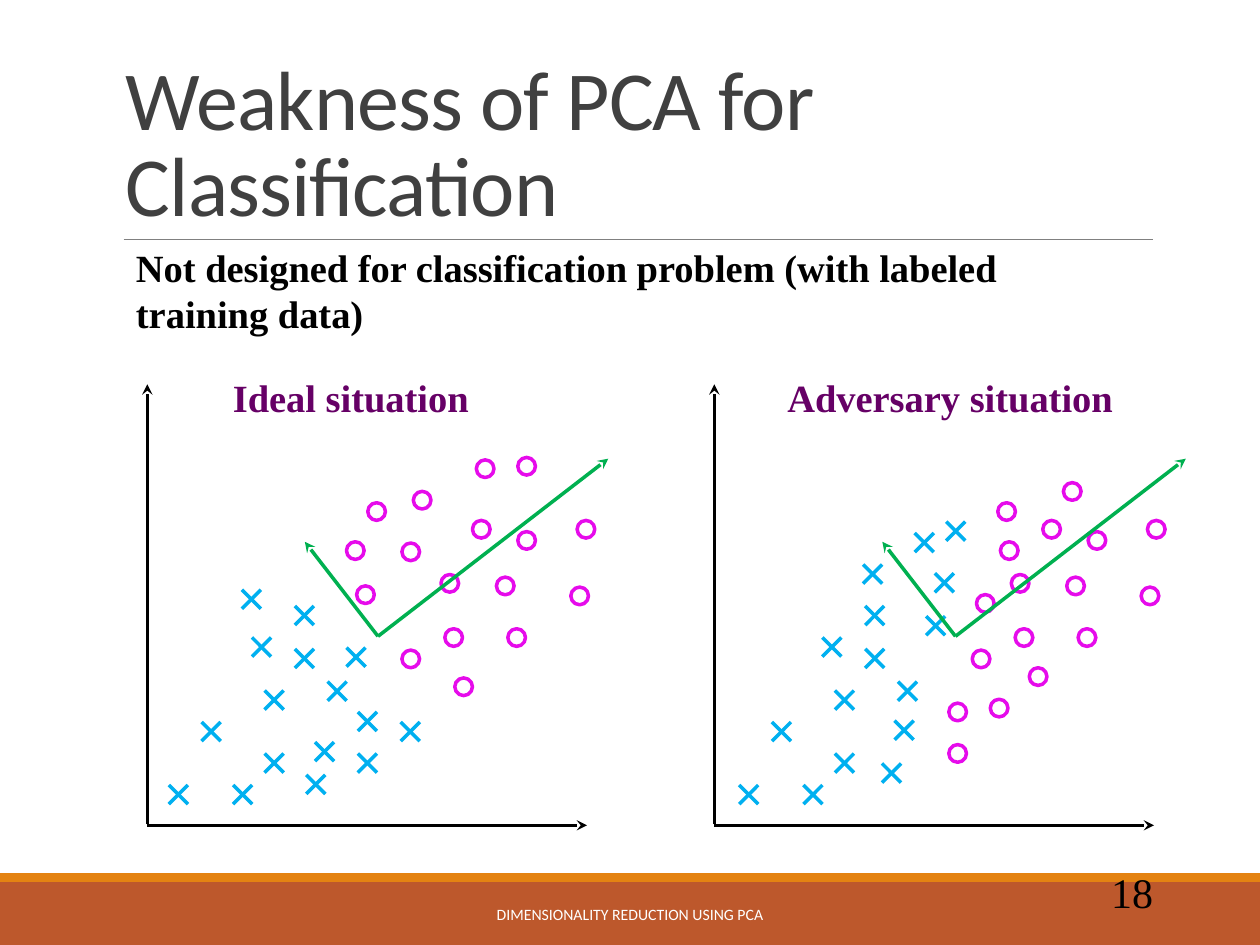
from dataclasses import dataclass

from lxml import etree
from pptx import Presentation
from pptx.dml.color import RGBColor
from pptx.enum.shapes import MSO_CONNECTOR, MSO_SHAPE
from pptx.enum.text import MSO_ANCHOR, PP_ALIGN
from pptx.oxml.ns import qn
from pptx.util import Pt

STRAIGHT = MSO_CONNECTOR.STRAIGHT
RECT, OVAL = MSO_SHAPE.RECTANGLE, MSO_SHAPE.OVAL
TOP, MIDDLE, BOTTOM = MSO_ANCHOR.TOP, MSO_ANCHOR.MIDDLE, MSO_ANCHOR.BOTTOM
LEFT, CENTER, RIGHT = PP_ALIGN.LEFT, PP_ALIGN.CENTER, PP_ALIGN.RIGHT


@dataclass(frozen=True)
class Theme:
    sans: str = "Calibri"
    serif: str = "Times New Roman"
    title: float = 48
    body: float = 22
    number: float = 24
    footer: float = 9
    stroke: float = 2
    hair: float = 0.5
    ink: str = "000000"
    gray: str = "404040"
    rule: str = "808080"
    white: str = "FFFFFF"
    purple: str = "660066"
    blue: str = "00B0F0"
    pink: str = "E60BEB"
    green: str = "00B050"
    rust: str = "BD582C"
    orange: str = "E48312"


class Deck:
    def __init__(self, theme, slide):
        self.theme = theme
        self.slide = slide

    def bar(self, x, y, w, h, color):
        shape = self.slide.shapes.add_shape(RECT, Pt(x), Pt(y), Pt(w), Pt(h))
        shape.shadow.inherit = False
        shape.fill.solid()
        shape.fill.fore_color.rgb = RGBColor.from_string(color)
        shape.line.fill.background()

    def line(self, start, end, color, width=None, arrow=False):
        link = self.slide.shapes.add_connector(
            STRAIGHT, Pt(start[0]), Pt(start[1]), Pt(end[0]), Pt(end[1]))
        link.line.color.rgb = RGBColor.from_string(color)
        link.line.width = Pt(width or self.theme.stroke)
        props = link._element.spPr
        if arrow:
            etree.SubElement(props.find(qn("a:ln")), qn("a:tailEnd"), type="stealth")
        etree.SubElement(props, qn("a:effectLst"))

    def cross(self, x, y, size=10.9):
        self.line((x, y), (x + size, y + size), self.theme.blue)
        self.line((x + size, y), (x, y + size), self.theme.blue)

    def ring(self, x, y, size=10.1):
        shape = self.slide.shapes.add_shape(OVAL, Pt(x), Pt(y), Pt(size), Pt(size))
        shape.shadow.inherit = False
        shape.fill.background()
        shape.line.color.rgb = RGBColor.from_string(self.theme.pink)
        shape.line.width = Pt(self.theme.stroke)

    def text(self, box, lines, font, size, color, bold=False, align=LEFT,
             anchor=TOP, wrap=True, leading=None, kern=None):
        frame = self.slide.shapes.add_textbox(*map(Pt, box)).text_frame
        frame.word_wrap = wrap
        frame.vertical_anchor = anchor
        for i, words in enumerate(lines):
            para = frame.add_paragraph() if i else frame.paragraphs[0]
            para.alignment = align
            if leading:
                para.line_spacing = leading
            run = para.add_run()
            run.text = words
            run.font.name = font
            run.font.size = Pt(size)
            run.font.bold = bold
            run.font.color.rgb = RGBColor.from_string(color)
            if kern:
                run._r.get_or_add_rPr().set("spc", str(int(kern * 100)))

    def plot(self, axis, axes, crosses, rings):
        ink, green = self.theme.ink, self.theme.green
        self.line((axis, 471.6), (axis + 251.3, 471.6), ink, arrow=True)
        self.line((axis, 470.9), (axis, 219.6), ink, arrow=True)
        for x, y in crosses:
            self.cross(x, y)
        for x, y in rings:
            self.ring(x, y)
        for dx, dy in ((131.6, -101.5), (-41.8, -54)):
            self.line((axes, 363.6), (axes + dx, 363.6 + dy), green, arrow=True)


SHIFT = 325.9
CROSSES = [(115.2, 412.6), (187.2, 389.5), (168.5, 370.8), (96.5, 448.6),
           (133.2, 448.6), (144, 364.3), (168.5, 346.3), (151.2, 430.6),
           (151.2, 394.6)]
RINGS = [(329.8, 297.4), (290.2, 359.3), (254.2, 359.3), (326.2, 335.5),
         (295.9, 303.8), (229.7, 371.5), (283.7, 329.8), (252, 328.3),
         (270, 297.4)]
IDEAL_CROSSES = [(204.5, 430.6), (175, 442.8), (204.5, 406.8), (229, 412.6),
                 (180, 424.1), (198, 370.1), (138.2, 337)]
IDEAL_RINGS = [(259.9, 387.4), (203.8, 334.8), (210.2, 287.3), (272.2, 262.8),
               (229.7, 310.3), (295.9, 261.4), (198, 309.6), (236.2, 280.8)]
HARD_CROSSES = [(534.2, 327.6), (511.2, 411.8), (522.7, 304.6), (540.7, 298.1),
                (529.2, 352.1), (504, 436.3), (493.2, 322.6)]
HARD_RINGS = [(542.2, 401.8), (565.9, 399.6), (570.2, 287.3), (607.7, 275.8),
              (571.7, 309.6), (542.2, 425.5), (558, 339.8), (588.2, 381.6)]


def moved(points):
    return [(x + SHIFT, y) for x, y in points]


def main():
    show = Presentation()
    show.slide_width, show.slide_height = Pt(720), Pt(540)
    theme = Theme()
    deck = Deck(theme, show.slides.add_slide(show.slide_layouts[6]))

    deck.bar(0, 504, 720, 36, theme.rust)
    deck.bar(0, 499, 720, 5, theme.orange)
    deck.line((70.6, 136.8), (658.8, 136.8), theme.rule, theme.hair)
    deck.text((64.8, 22.3, 594, 114.5), ["Weakness of PCA for Classification"],
              theme.sans, theme.title, theme.gray, anchor=BOTTOM,
              leading=0.85, kern=-0.5)
    deck.text((516.2, 491.8, 149.8, 36), ["18"], theme.serif, theme.number,
              theme.ink, align=RIGHT, anchor=MIDDLE)

    deck.plot(84.2, 216, CROSSES + IDEAL_CROSSES, RINGS + IDEAL_RINGS)
    deck.plot(408.2, 546, moved(CROSSES) + HARD_CROSSES, moved(RINGS) + HARD_RINGS)

    deck.text((70.6, 136.1, 512.6, 60.5),
              ["Not designed for classification problem (with labeled", "training data)"],
              theme.serif, theme.body, theme.ink, bold=True, wrap=False)
    for x, width, label in ((126, 151.2, "Ideal situation"),
                            (442.8, 203, "Adversary situation")):
        deck.text((x, 210.2, width, 33.8), [label], theme.serif, theme.body,
                  theme.purple, bold=True, wrap=False)
    deck.text((217.4, 508.3, 285.1, 28.8), ["DIMENSIONALITY REDUCTION USING PCA"],
              theme.sans, theme.footer, theme.white, align=CENTER, anchor=MIDDLE)
    show.save("out.pptx")


if __name__ == "__main__":
    main()
